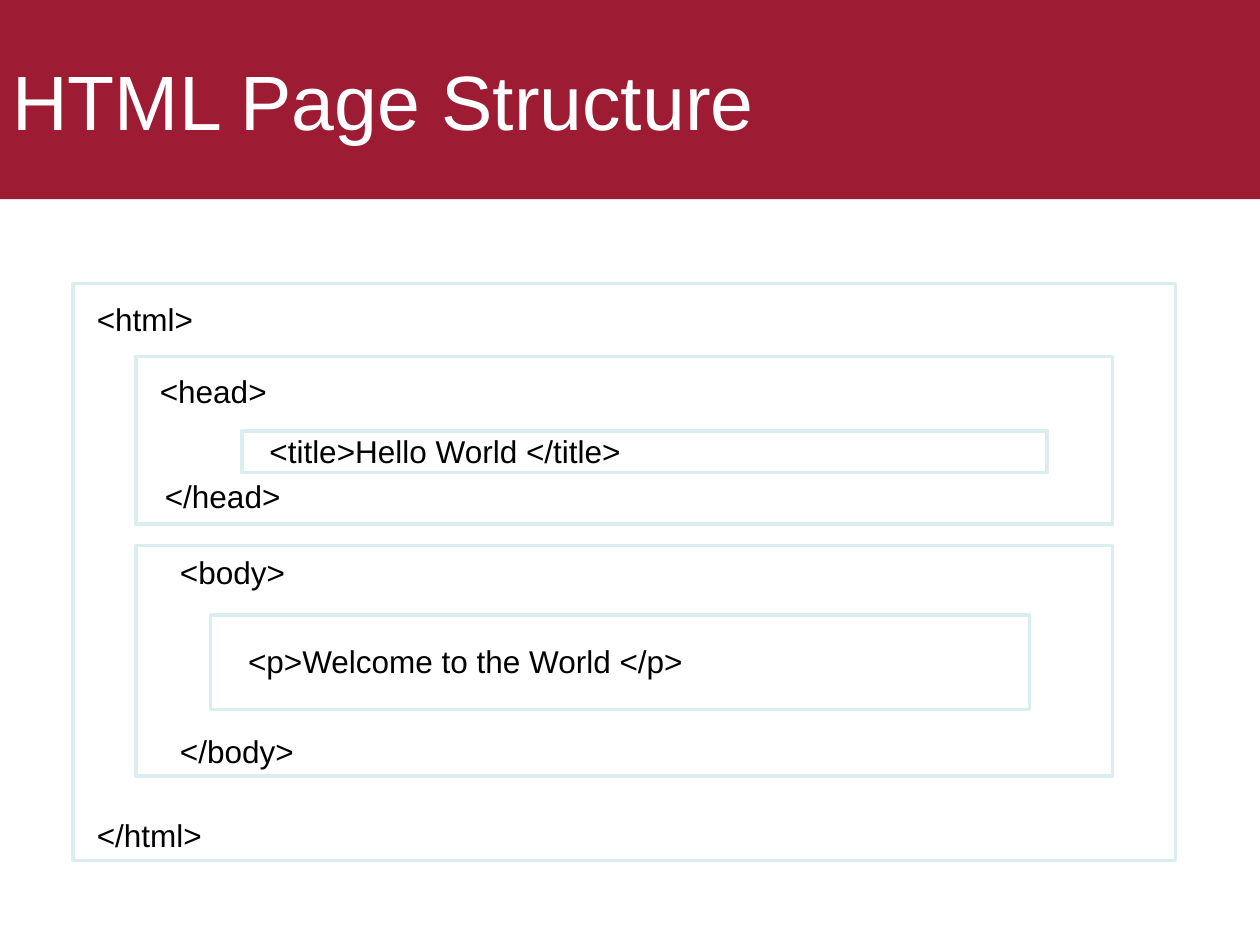
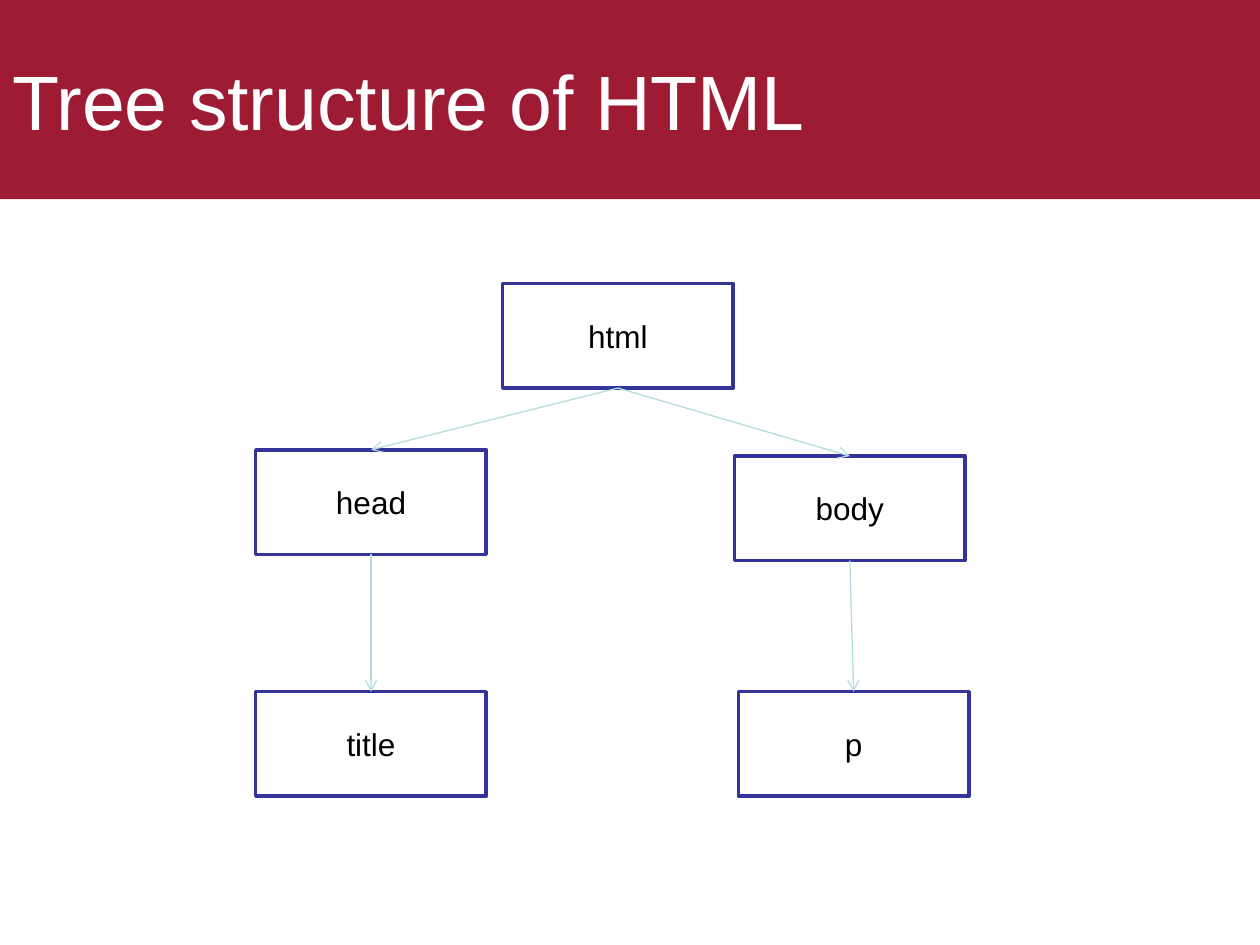
from lxml.etree import SubElement
from pptx import Presentation
from pptx.dml.color import RGBColor
from pptx.enum.shapes import MSO_CONNECTOR as Connector, MSO_SHAPE as Shape
from pptx.enum.text import MSO_ANCHOR as Anchor, PP_ALIGN as Align
from pptx.oxml.ns import qn
from pptx.util import Inches, Pt

CRIMSON = RGBColor(0x9E, 0x1B, 0x34)
WHITE = RGBColor(0xFF, 0xFF, 0xFF)
BLACK = RGBColor(0x00, 0x00, 0x00)
PALE_TEAL = RGBColor(0xDA, 0xED, 0xEF)
TEAL = RGBColor(0xB6, 0xDC, 0xDF)
NAVY = RGBColor(0x33, 0x33, 0x99)

FONT = "Arial"
SLIDE_WIDTH, SLIDE_HEIGHT = 10, 7.5
TITLE_HEIGHT = 1.58
LABEL_HEIGHT = 0.4
NODE_WIDTH, NODE_HEIGHT = 1.83, 0.83
TOP, BOTTOM = 0, 2

NESTED_BOXES = [
    (0.58, 2.25, 8.75, 4.58),
    (1.08, 2.83, 7.75, 1.33),
    (1.92, 3.42, 6.39, 0.33),
    (1.08, 4.33, 7.75, 1.83),
    (1.67, 4.88, 6.5, 0.75),
]
TAG_LABELS = [
    ("<html>", 0.67, 2.33, 1),
    ("<head>", 1.17, 2.9, 1.42),
    ("<title>Hello World </title>", 2.04, 3.38, 6.27),
    ("</head>", 1.21, 3.74, 1.42),
    ("<body>", 1.33, 4.34, 1.42),
    ("<p>Welcome to the World </p>", 1.87, 5.05, 4.88),
    ("</body>", 1.33, 5.76, 1.42),
    ("</html>", 0.67, 6.43, 1.5),
]
TREE_NODES = {
    "html": (3.99, 2.25),
    "head": (2.03, 3.57),
    "body": (5.83, 3.62),
    "title": (2.03, 5.49),
    "p": (5.86, 5.49),
}
TREE_EDGES = [("html", "head"), ("html", "body"), ("head", "title"), ("body", "p")]


def write_text(shape, text, size=18, color=BLACK, align=Align.LEFT, anchor=Anchor.TOP):
    frame = shape.text_frame
    frame.word_wrap = True
    frame.vertical_anchor = anchor
    paragraph = frame.paragraphs[0]
    paragraph.alignment = align
    run = paragraph.add_run()
    run.text = text
    run.font.name = FONT
    run.font.size = Pt(size)
    run.font.color.rgb = color


def add_box(slide, left, top, width, height, fill=WHITE, line=None):
    box = slide.shapes.add_shape(
        Shape.RECTANGLE, Inches(left), Inches(top), Inches(width), Inches(height)
    )
    box.shadow.inherit = False
    box.fill.solid()
    box.fill.fore_color.rgb = fill
    if line is None:
        box.line.fill.background()
    else:
        box.line.color.rgb = line
        box.line.width = Pt(2)
    return box


def add_label(slide, text, left, top, width):
    label = slide.shapes.add_textbox(
        Inches(left), Inches(top), Inches(width), Inches(LABEL_HEIGHT)
    )
    write_text(label, text)


def add_node(slide, text, left, top):
    node = add_box(slide, left, top, NODE_WIDTH, NODE_HEIGHT, line=NAVY)
    write_text(node, text, align=Align.CENTER, anchor=Anchor.MIDDLE)
    return node


def add_arrow(slide, parent, child):
    arrow = slide.shapes.add_connector(Connector.STRAIGHT, 0, 0, 0, 0)
    arrow.begin_connect(parent, BOTTOM)
    arrow.end_connect(child, TOP)
    arrow.line.color.rgb = TEAL
    arrow.line.width = Pt(0.75)
    SubElement(arrow.line._get_or_add_ln(), qn("a:tailEnd"), type="arrow")
    SubElement(arrow._element.spPr, qn("a:effectLst"))


def add_titled_slide(presentation, title):
    slide = presentation.slides.add_slide(presentation.slide_layouts[6])
    band = add_box(slide, 0, 0, SLIDE_WIDTH, TITLE_HEIGHT, fill=CRIMSON)
    write_text(band, title, size=44, color=WHITE, anchor=Anchor.MIDDLE)
    return slide


def build_page_structure(presentation):
    slide = add_titled_slide(presentation, "HTML Page Structure")
    for bounds in NESTED_BOXES:
        add_box(slide, *bounds, line=PALE_TEAL)
    for label in TAG_LABELS:
        add_label(slide, *label)


def build_tree(presentation):
    slide = add_titled_slide(presentation, "Tree structure of HTML")
    nodes = {
        name: add_node(slide, name, *position) for name, position in TREE_NODES.items()
    }
    for parent, child in TREE_EDGES:
        add_arrow(slide, nodes[parent], nodes[child])


def main():
    presentation = Presentation()
    presentation.slide_width = Inches(SLIDE_WIDTH)
    presentation.slide_height = Inches(SLIDE_HEIGHT)
    build_page_structure(presentation)
    build_tree(presentation)
    presentation.save("out.pptx")


if __name__ == "__main__":
    main()
